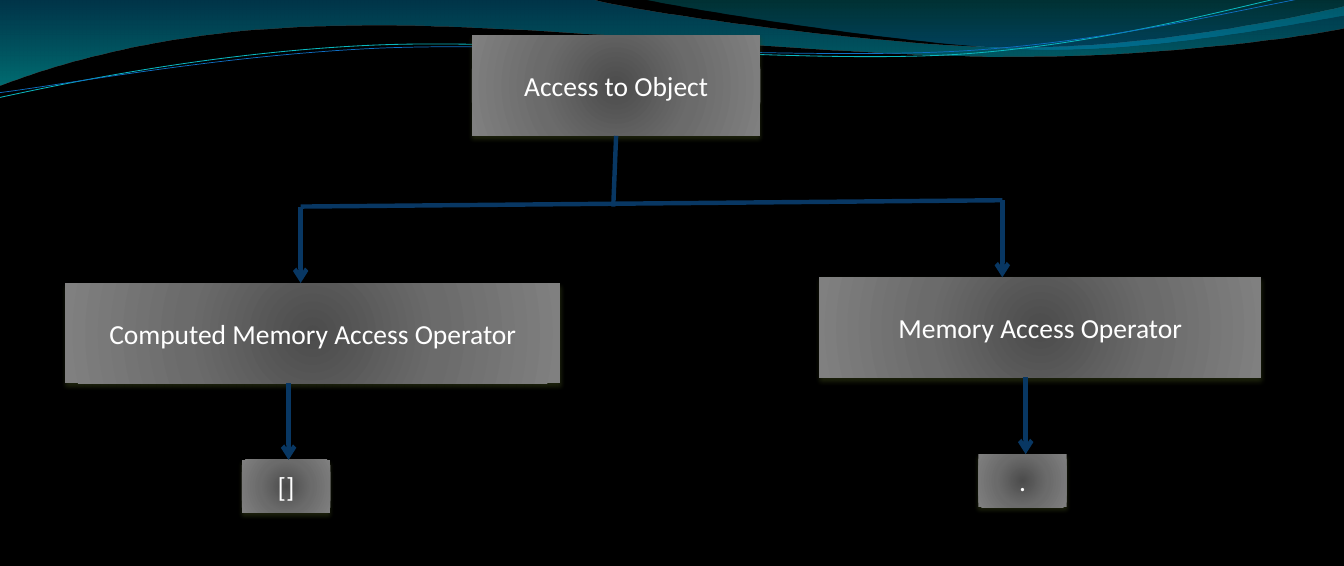
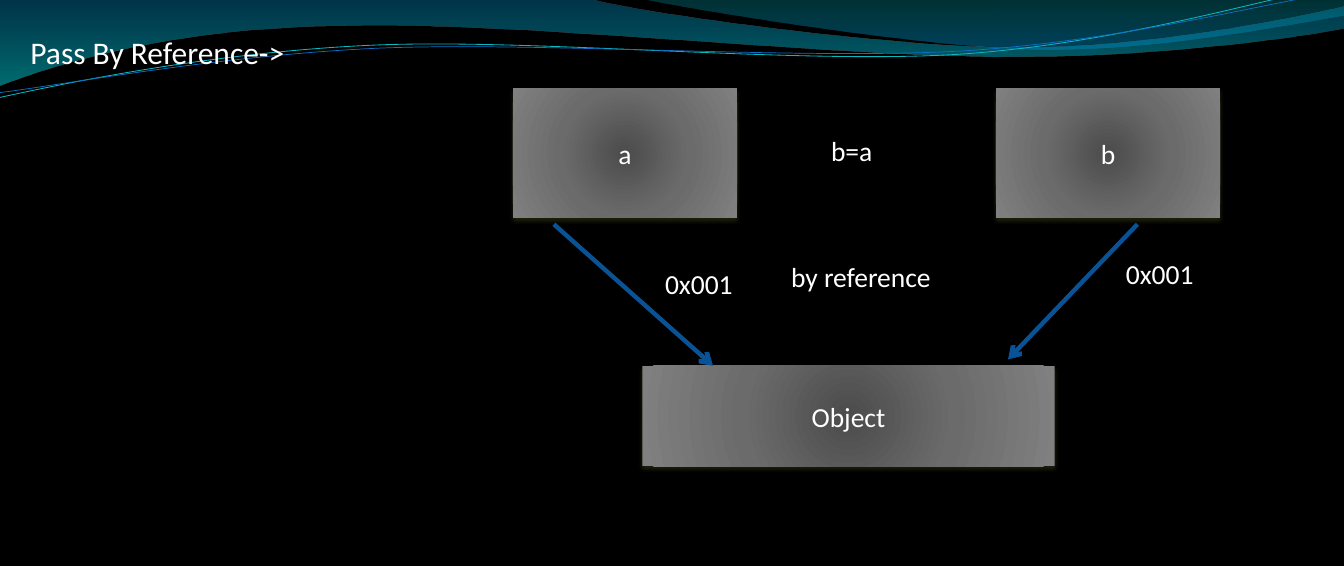
from math import cos, radians, sin

from pptx import Presentation
from pptx.dml.color import RGBColor
from pptx.enum.shapes import MSO_CONNECTOR, MSO_SHAPE
from pptx.enum.text import MSO_ANCHOR, MSO_AUTO_SIZE, PP_ALIGN
from pptx.oxml import parse_xml
from pptx.oxml.ns import nsdecls, qn
from pptx.util import Inches, Pt

# Shared style
COLORS = {
    "background": "000000", "text": "FFFFFF", "shadow": "3A4519",
    "tree": "083763", "pointer": "095295",
    "box_center": "4C4C4C", "box_middle": "6B6B6B", "box_edge": "808080",
    "band_blue": "0074A1", "band_cyan": "00C6CF",
    "corner_teal": "00A1A9", "corner_blue": "008BBF",
    "thread_cyan": "0AB8BF", "thread_blue": "0F6FC6",
}
FONT = "Calibri"
BODY_SIZE, TITLE_SIZE = 28, 32
ARROW_WIDTH = 4.5
THREAD_TILT = -2.7
THREAD_CENTER = (9.5, 0.62)

# Gradients: direction, then stops of position, colour and opacity in percent
DOWN = '<a:lin ang="5400000" scaled="0"/>'
FROM_CENTER = ('<a:path path="circle"><a:fillToRect l="50000" t="50000" '
               'r="50000" b="50000"/></a:path>')
BOX_GRADIENT = (FROM_CENTER, [(0, "box_center", 100), (50, "box_middle", 100),
                              (100, "box_edge", 100)])
BAND_GRADIENT = (DOWN, [(0, "band_blue", 45), (100, "band_cyan", 55)])
CORNER_GRADIENT = (DOWN, [(0, "corner_teal", 30), (80, "corner_blue", 45)])

# Header waves: one point is a straight step, three points are a Bezier curve
BANDS = [
    (BAND_GRADIENT, [
        [(0, 0)], [(8.37, -0.01)],
        [(9.04, 0.18), (12.61, 0.67), (14.41, 0.67)],
        [(16.21, 0.67), (18.21, 0.27), (19, 0.09)], [(19.02, 0.39)],
        [(18.68, 0.47), (16.53, 0.81), (14.17, 0.8)],
        [(11.82, 0.8), (7.25, 0.3), (4.89, 0.36)],
        [(2.45, 0.38), (0.87, 0.88), (-0.02, 1.21)], [(0, 0)]]),
    (CORNER_GRADIENT, [
        [(9.1, -0.01)],
        [(9.68, 0.12), (12.96, 0.66), (14.61, 0.7)],
        [(16.26, 0.74), (18.27, 0.34), (19, 0.22)], [(19, 0)], [(9.1, -0.01)]]),
]
THREADS = [
    ("thread_cyan", 0.85, [
        [(-0.01, 1.38)],
        [(0.91, 1.18), (3, 0.74), (5.26, 0.64)],
        [(7.52, 0.54), (11.24, 0.91), (13.53, 0.77)],
        [(15.81, 0.62), (17.84, -0.01), (18.97, -0.22)]]),
    ("thread_blue", 0.75, [
        [(-0.01, 1.31)],
        [(0.89, 1.2), (3.11, 0.78), (5.38, 0.68)],
        [(7.65, 0.59), (11.34, 0.85), (13.61, 0.72)],
        [(15.88, 0.58), (17.89, 0.04), (19.01, -0.13)]]),
]

# Slide content: boxes and labels are (text, left, top, width, height),
# lines and arrows are (x1, y1, x2, y2)
ACCESS_TREE = {
    "boxes": [
        ("Access to Object", 6.67, 0.5, 4.08, 1.42),
        ("Computed Memory Access Operator", 0.92, 4, 7, 1.42),
        ("Memory Access Operator", 11.58, 3.92, 6.25, 1.42),
        ("[]", 3.42, 6.5, 1.25, 0.75),
        (".", 13.83, 6.42, 1.25, 0.75),
    ],
    "color": "tree",
    "lines": [(8.71, 1.92, 8.67, 2.92), (4.25, 2.92, 14.17, 2.83)],
    "arrows": [(4.25, 2.92, 4.25, 4), (14.17, 2.83, 14.17, 3.92),
               (4.08, 5.42, 4.08, 6.5), (14.5, 5.33, 14.5, 6.42)],
}
PASS_BY_REFERENCE = {
    "title": "Pass By Reference->",
    "boxes": [
        ("Object", 9.08, 5.17, 5.83, 1.42),
        ("a", 7.25, 1.25, 3.17, 1.83),
        ("b", 14.08, 1.25, 3.17, 1.83),
    ],
    "color": "pointer",
    "arrows": [(7.83, 3.17, 10.08, 5.17), (16.08, 3.17, 14.25, 5.08)],
    "labels": [
        ("0x001", 9.17, 3.67, 1.42, 0.67),
        ("0x001", 15.81, 3.58, 1.17, 0.57),
        ("b=a", 11, 1.67, 2.08, 0.92),
        ("by reference", 10.92, 3.5, 2.5, 0.83),
    ],
}


def rgb(name):
    return RGBColor.from_string(COLORS[name])


def fill_gradient(shape, gradient):
    direction, stops = gradient
    stop_xml = ""
    for position, color, opacity in stops:
        alpha = f'<a:alpha val="{opacity * 1000}"/>' if opacity < 100 else ""
        stop_xml += (f'<a:gs pos="{position * 1000}">'
                     f'<a:srgbClr val="{COLORS[color]}">{alpha}</a:srgbClr></a:gs>')
    shape.fill.gradient()
    properties = shape.element.spPr
    properties.replace(properties.find(qn("a:gradFill")), parse_xml(
        f'<a:gradFill {nsdecls("a")} rotWithShape="1">'
        f'<a:gsLst>{stop_xml}</a:gsLst>{direction}</a:gradFill>'))


def write(shape, text, size=BODY_SIZE, align=PP_ALIGN.CENTER, anchor=MSO_ANCHOR.MIDDLE):
    frame = shape.text_frame
    frame.text = text
    frame.word_wrap = True
    frame.auto_size = MSO_AUTO_SIZE.NONE
    frame.vertical_anchor = anchor
    paragraph = frame.paragraphs[0]
    paragraph.alignment = align
    font = paragraph.runs[0].font
    font.name, font.size, font.color.rgb = FONT, Pt(size), rgb("text")


# Header waves
def turn(point, degrees):
    (x, y), (center_x, center_y) = point, THREAD_CENTER
    dx, dy, angle = x - center_x, y - center_y, radians(degrees)
    return (center_x + dx * cos(angle) - dy * sin(angle),
            center_y + dx * sin(angle) + dy * cos(angle))


def add_wave(slide, segments, closed=False, tilt=0):
    points = [tuple(map(Inches, turn(point, -tilt)))
              for segment in segments for point in segment]
    builder = slide.shapes.build_freeform(*points[0])
    builder.add_line_segments(points[1:], close=closed)
    wave = builder.convert_to_shape()
    # Merge each run of three straight steps into its Bezier curve
    steps = iter(list(wave.element.iter(qn("a:lnTo"))))
    for segment in segments[1:]:
        group = [next(steps) for _ in segment]
        if len(group) == 3:
            curve = parse_xml(f'<a:cubicBezTo {nsdecls("a")}/>')
            group[0].addprevious(curve)
            for step in group:
                curve.append(step[0])
                step.getparent().remove(step)
    wave.rotation = tilt
    wave.shadow.inherit = False
    return wave


def draw_header(prs, slide):
    """Draw the waves and move them to the back of the slide master."""
    waves = []
    for gradient, segments in BANDS:
        band = add_wave(slide, segments, closed=True)
        fill_gradient(band, gradient)
        band.line.fill.background()
        waves.append(band)
    for color, width, segments in THREADS:
        thread = add_wave(slide, segments, tilt=THREAD_TILT)
        thread.fill.background()
        thread.line.color.rgb, thread.line.width = rgb(color), Pt(width)
        waves.append(thread)
    master = prs.slide_master
    master.background.fill.solid()
    master.background.fill.fore_color.rgb = rgb("background")
    for index, wave in enumerate(waves):
        wave.element.nvSpPr.cNvPr.set("id", str(100 + index))
        master.shapes.element.insert(2 + index, wave.element)


# Diagram parts
def add_box(slide, text, *place):
    box = slide.shapes.add_shape(MSO_SHAPE.RECTANGLE, *map(Inches, place))
    fill_gradient(box, BOX_GRADIENT)
    box.line.fill.background()
    box.shadow.inherit = False
    box.element.spPr.find(qn("a:effectLst")).append(parse_xml(
        f'<a:outerShdw {nsdecls("a")} blurRad="{Pt(4.5)}" dist="{Pt(3)}" '
        f'dir="5400000" rotWithShape="0"><a:srgbClr val="{COLORS["shadow"]}">'
        '<a:alpha val="48000"/></a:srgbClr></a:outerShdw>'))
    write(box, text)


def add_line(slide, ends, color, arrow):
    line = slide.shapes.add_connector(MSO_CONNECTOR.STRAIGHT, *map(Inches, ends))
    line.line.color.rgb, line.line.width = rgb(color), Pt(ARROW_WIDTH)
    properties = line.element.spPr
    if arrow:
        properties.find(qn("a:ln")).append(
            parse_xml(f'<a:tailEnd {nsdecls("a")} type="arrow"/>'))
    properties.append(parse_xml(f'<a:effectLst {nsdecls("a")}/>'))


def build_slide(prs, content):
    title = content.get("title")
    layout = prs.slide_layouts.get_by_name("Title Only" if title else "Blank")
    slide = prs.slides.add_slide(layout)
    if title:
        heading = slide.shapes.title
        heading.left, heading.top = Inches(0.33), Inches(0.42)
        heading.width, heading.height = Inches(17.92), Inches(0.64)
        write(heading, title, TITLE_SIZE, PP_ALIGN.LEFT, MSO_ANCHOR.TOP)
    for box in content["boxes"]:
        add_box(slide, *box)
    for kind in ("lines", "arrows"):
        for ends in content.get(kind, []):
            add_line(slide, ends, content["color"], arrow=kind == "arrows")
    for text, *place in content.get("labels", []):
        write(slide.shapes.add_textbox(*map(Inches, place)), text)
    return slide


def main():
    prs = Presentation()
    prs.slide_width, prs.slide_height = Inches(19), Inches(8)
    slides = [build_slide(prs, content) for content in (ACCESS_TREE, PASS_BY_REFERENCE)]
    draw_header(prs, slides[0])
    prs.save("out.pptx")


if __name__ == "__main__":
    main()
